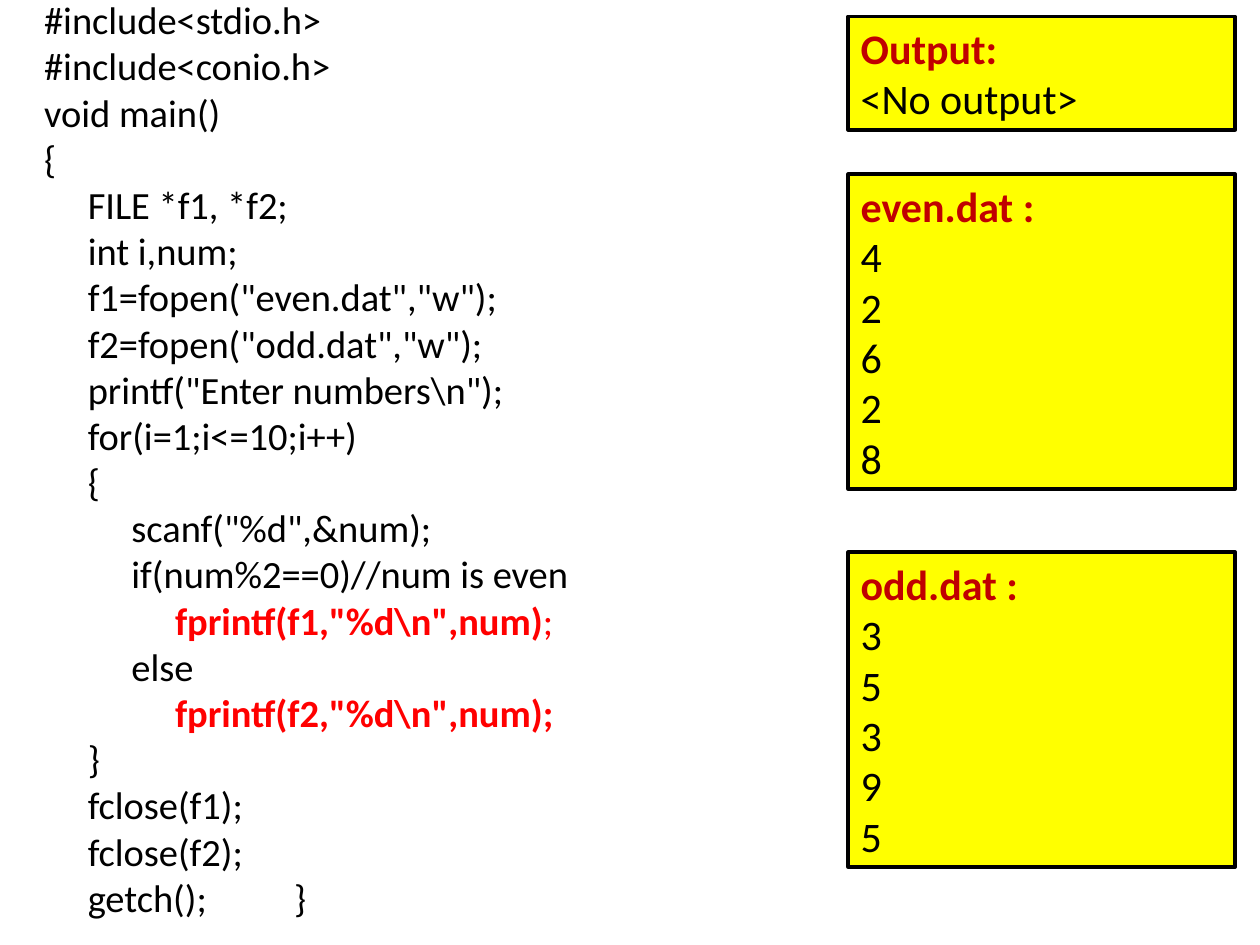
from dataclasses import dataclass

from lxml.etree import SubElement
from pptx import Presentation
from pptx.dml.color import RGBColor
from pptx.enum.shapes import MSO_SHAPE
from pptx.enum.text import MSO_ANCHOR, PP_ALIGN
from pptx.oxml.ns import qn
from pptx.util import Cm, Pt


@dataclass(frozen=True)
class Theme:
    font: str = "Calibri"
    code_size: int = 22
    box_size: int = 24
    border: int = 2
    text: str = "000000"
    call: str = "FF0000"
    heading: str = "C00000"
    fill: str = "FFFF00"


@dataclass(frozen=True)
class CodeLine:
    text: str
    level: int = 0
    call: str = ""  # bold part in the call colour
    call_end: str = ""  # regular part in the call colour


@dataclass(frozen=True)
class FileBox:
    heading: str
    lines: tuple[str, ...]
    top: float
    height: float


THEME = Theme()
INDENT = 0.88
CLOSING_TAB = 5.04
BOX_LEFT, BOX_WIDTH = 17.1, 7.8

CODE = [
    CodeLine("#include<stdio.h>"),
    CodeLine("#include<conio.h>"),
    CodeLine("void main()"),
    CodeLine("{"),
    CodeLine("FILE *f1, *f2;", 1),
    CodeLine("int i,num;", 1),
    CodeLine('f1=fopen("even.dat","w");', 1),
    CodeLine('f2=fopen("odd.dat","w");', 1),
    CodeLine('printf("Enter numbers\\n");', 1),
    CodeLine("for(i=1;i<=10;i++)", 1),
    CodeLine("{", 1),
    CodeLine('scanf("%d",&num);', 2),
    CodeLine("if(num%2==0)//num is even", 2),
    CodeLine("", 3, 'fprintf(f1,"%d\\n",num)', ";"),
    CodeLine("else", 2),
    CodeLine("", 3, 'fprintf(f2,"%d\\n",num);'),
    CodeLine("}", 1),
    CodeLine("fclose(f1);", 1),
    CodeLine("fclose(f2);", 1),
    CodeLine("\tgetch();\t}"),
]

BOXES = [
    FileBox("Output:", ("<No output>",), 0.33, 2.29),
    FileBox("even.dat :", ("4", "2", "6", "2", "8"), 3.51, 6.35),
    FileBox("odd.dat :", ("3", "5", "3", "9", "5"), 11.13, 6.35),
]


def add_run(p, text: str, size: int, color: str, bold: bool = False) -> None:
    r = p.add_run()
    r.text = text
    r.font.name = THEME.font
    r.font.size = Pt(size)
    r.font.bold = bold
    r.font.color.rgb = RGBColor.from_string(color)


def set_tabs(p, *positions: float) -> None:
    tabs = SubElement(p._p.get_or_add_pPr(), qn("a:tabLst"))
    for pos in positions:
        SubElement(tabs, qn("a:tab"), pos=str(Cm(pos)), algn="l")


def add_code(slide, lines: list[CodeLine]) -> None:
    sp = slide.shapes.add_textbox(Cm(0.64), Cm(-0.2), Cm(13.46), Cm(18.92))
    tf = sp.text_frame
    tf.word_wrap = True
    for i, line in enumerate(lines):
        p = tf.add_paragraph() if i else tf.paragraphs[0]
        if line.level:
            p._p.get_or_add_pPr().set("marL", str(Cm(INDENT * line.level)))
        if "\t" in line.text:
            set_tabs(p, INDENT, CLOSING_TAB)
        for text, color, bold in (
            (line.text, THEME.text, False),
            (line.call, THEME.call, True),
            (line.call_end, THEME.call, False),
        ):
            if text:
                add_run(p, text, THEME.code_size, color, bold)


def add_file_box(slide, box: FileBox) -> None:
    sp = slide.shapes.add_shape(
        MSO_SHAPE.RECTANGLE, Cm(BOX_LEFT), Cm(box.top), Cm(BOX_WIDTH), Cm(box.height)
    )
    sp.shadow.inherit = False
    sp.fill.solid()
    sp.fill.fore_color.rgb = RGBColor.from_string(THEME.fill)
    sp.line.color.rgb = RGBColor.from_string(THEME.text)
    sp.line.width = Pt(THEME.border)
    tf = sp.text_frame
    tf.word_wrap = True
    tf.vertical_anchor = MSO_ANCHOR.TOP
    for i, text in enumerate((box.heading, *box.lines)):
        p = tf.add_paragraph() if i else tf.paragraphs[0]
        p.alignment = PP_ALIGN.LEFT
        add_run(p, text, THEME.box_size, THEME.text if i else THEME.heading, bold=i == 0)


def main() -> None:
    prs = Presentation()
    prs.slide_width, prs.slide_height = Cm(25.4), Cm(19.05)
    slide = prs.slides.add_slide(prs.slide_layouts[6])

    # Program listing on the left
    add_code(slide, CODE)

    # Screen output and file contents on the right
    for box in BOXES:
        add_file_box(slide, box)

    prs.save("out.pptx")


if __name__ == "__main__":
    main()
